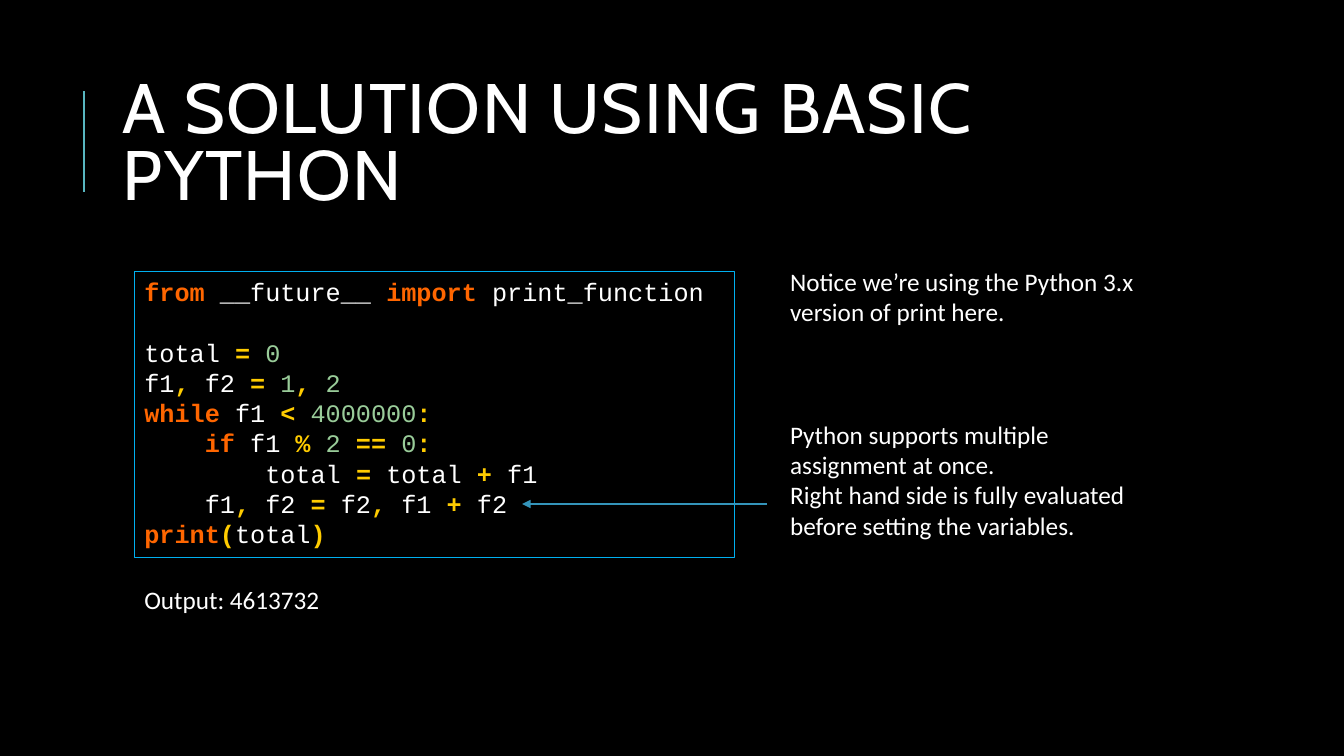
import itertools

import lxml.etree
import pptx
import pptx.dml.color
import pptx.enum.shapes
import pptx.enum.text
import pptx.oxml
import pptx.oxml.ns
import pptx.util

Pt = pptx.util.Pt
qn = pptx.oxml.ns.qn

COLORS = {
    "background": "000000",
    "text": "FFFFFF",
    "keyword": "FF6600",
    "operator": "FFCC00",
    "number": "99CC99",
    "border": "00B0F0",
    "accent": "58B6C0",
    "arrow": "3494BA",
}
KEYWORDS = {"from", "import", "while", "if", "print"}
CODE = """from __future__ import print_function

total = 0
f1, f2 = 1, 2
while f1 < 4000000:
    if f1 % 2 == 0:
        total = total + f1
    f1, f2 = f2, f1 + f2
print(total)"""


def rgb(name):
    return pptx.dml.color.RGBColor.from_string(COLORS[name])


def style_run(r, font, size, color="text", bold=False):
    r.font.name = font
    r.font.size = Pt(size)
    r.font.bold = bold
    r.font.color.rgb = rgb(color)


def char_kind(c):
    if c.isalnum() or c == "_":
        return "word"
    return "space" if c == " " else "operator"


def token_color(kind, token):
    if token in KEYWORDS:
        return "keyword"
    if token.isdigit():
        return "number"
    return "operator" if kind == "operator" else "text"


def add_title(s, text, left, top, width, height):
    sp = s.shapes.title
    sp.left, sp.top, sp.width, sp.height = Pt(left), Pt(top), Pt(width), Pt(height)
    tf = sp.text_frame
    tf.text = text
    tf.word_wrap = True
    tf.auto_size = pptx.enum.text.MSO_AUTO_SIZE.NONE
    tf.vertical_anchor = pptx.enum.text.MSO_ANCHOR.MIDDLE
    p = tf.paragraphs[0]
    p.alignment = pptx.enum.text.PP_ALIGN.LEFT
    p.line_spacing = 0.8
    r = p.runs[0]
    style_run(r, "Cabin", 50)
    r.font._element.set("spc", "100")


def add_code(s, code, left, top, width, height):
    sp = s.shapes.add_shape(pptx.enum.shapes.MSO_SHAPE.RECTANGLE,
                            Pt(left), Pt(top), Pt(width), Pt(height))
    sp.shadow.inherit = False
    sp.fill.background()
    sp.line.color.rgb = rgb("border")
    sp.line.width = Pt(0.75)
    tf = sp.text_frame
    tf.word_wrap = True
    tf.vertical_anchor = pptx.enum.text.MSO_ANCHOR.TOP
    tf.text = code
    for p, line in zip(tf.paragraphs, code.split("\n")):
        p.alignment = pptx.enum.text.PP_ALIGN.LEFT
        p.font.size = Pt(18)
        p.text = ""
        # One run per token, coloured by its role in the code
        for kind, chars in itertools.groupby(line, char_kind):
            token = "".join(chars)
            color = token_color(kind, token)
            r = p.add_run()
            r.text = token
            style_run(r, "Courier New", 18, color, color in ("keyword", "operator"))


def add_note(s, text, left, top, width, height, wrap=True):
    sp = s.shapes.add_textbox(Pt(left), Pt(top), Pt(width), Pt(height))
    tf = sp.text_frame
    tf.word_wrap = wrap
    tf.text = text
    for p in tf.paragraphs:
        for r in p.runs:
            style_run(r, "Calibri", 18)


def add_line(s, x1, y1, x2, y2, color, width, arrow=False):
    line = s.shapes.add_connector(pptx.enum.shapes.MSO_CONNECTOR.STRAIGHT,
                                  Pt(x1), Pt(y1), Pt(x2), Pt(y2))
    line.line.color.rgb = rgb(color)
    line.line.width = Pt(width)
    if arrow:
        lxml.etree.SubElement(line.line._ln, qn("a:tailEnd"), type="triangle")
    lxml.etree.SubElement(line._element.spPr, qn("a:effectLst"))


def main():
    prs = pptx.Presentation()
    prs.slide_width, prs.slide_height = Pt(960), Pt(540)
    s = prs.slides.add_slide(prs.slide_layouts[5])
    s.background.fill.solid()
    s.background.fill.fore_color.rgb = rgb("background")

    # Heading with its accent bar
    add_line(s, 60, 136.8, 60, 64.8, "accent", 1.5)
    add_title(s, "A SOLUTION USING BASIC PYTHON", 80.6, 46, 765.4, 118)

    # Code and its output
    add_code(s, CODE, 96, 194, 429, 204)
    add_note(s, "Output: 4613732", 96, 413.5, 148, 29, wrap=False)

    # Remarks beside the code
    add_note(s, "Notice we’re using the Python 3.x\vversion of print here.",
             557.3, 186.8, 480, 51)
    add_note(s, "Python supports multiple\nassignment at once.\n"
                "Right hand side is fully evaluated\nbefore setting the variables.",
             557.3, 296, 289, 94.5)
    add_line(s, 548, 360, 373, 360, "arrow", 0.75, arrow=True)

    prs.save("out.pptx")


main()
